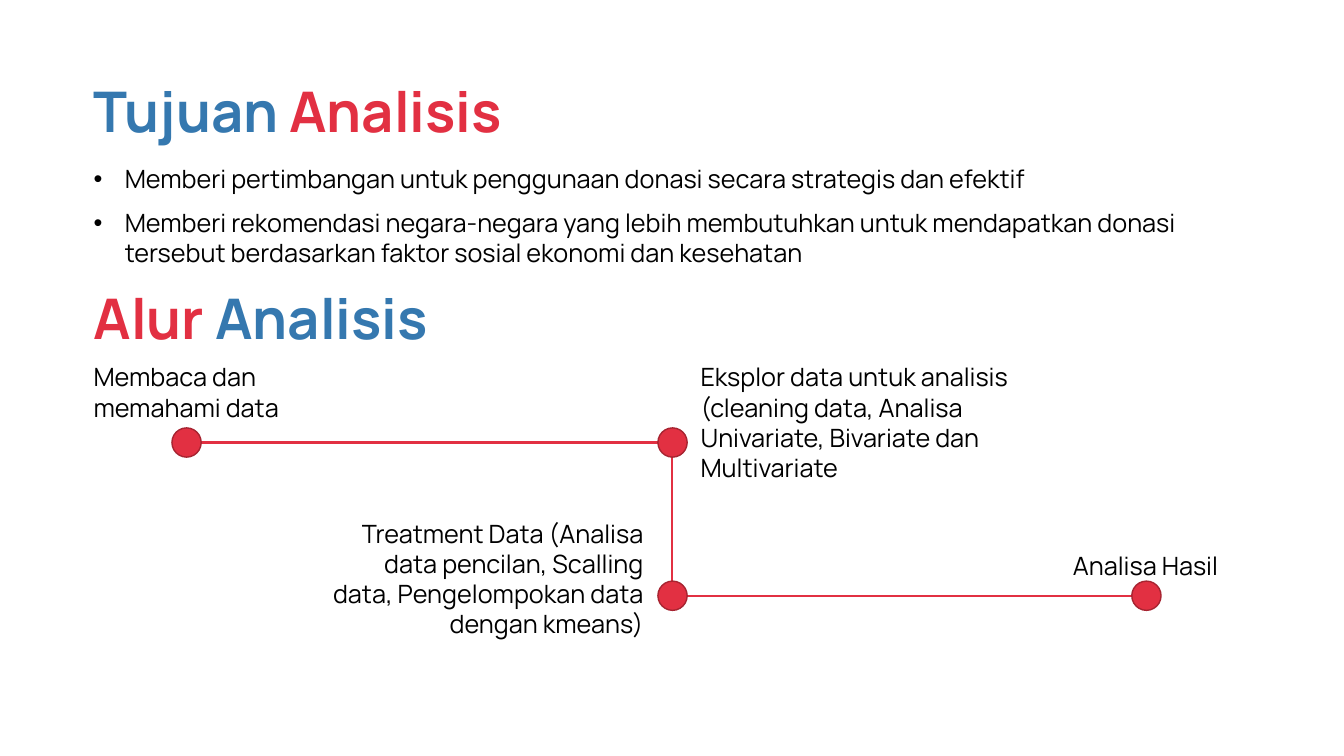
from lxml.etree import SubElement
from pptx import Presentation
from pptx.dml.color import RGBColor
from pptx.enum.shapes import MSO_CONNECTOR, MSO_SHAPE
from pptx.enum.text import MSO_ANCHOR, MSO_AUTO_SIZE, PP_ALIGN
from pptx.oxml.ns import qn
from pptx.util import Inches, Pt

BLUE = RGBColor(0x35, 0x78, 0xAF)
RED = RGBColor(0xE2, 0x30, 0x42)
DARK_RED = RGBColor(0xA7, 0x24, 0x31)
BLACK = RGBColor(0, 0, 0)

LEFT = 0.83
DOT = 0.29
ROW_1, ROW_2 = 4.39, 5.91

GOALS = [
    "Memberi pertimbangan untuk penggunaan donasi secara strategis dan efektif",
    "Memberi rekomendasi negara-negara yang lebih membutuhkan untuk mendapatkan "
    "donasi tersebut berdasarkan faktor sosial ekonomi dan kesehatan",
]
STEPS = [
    ("Membaca dan memahami data", (LEFT, 3.54, 2.64, 0.7), PP_ALIGN.LEFT),
    ("Eksplor data untuk analisis (cleaning data, Analisa Univariate, "
     "Bivariate dan Multivariate", (6.85, 3.54, 3.39, 1.26), PP_ALIGN.LEFT),
    ("Treatment Data (Analisa data pencilan, Scalling data, Pengelompokan "
     "data dengan kmeans)", (3.09, 5.09, 3.39, 1.26), PP_ALIGN.RIGHT),
    ("Analisa Hasil", (10.06, 5.41, 2.12, 0.38), PP_ALIGN.RIGHT),
]
DOT_CENTRES = [(1.85, ROW_1), (6.67, ROW_1), (6.67, ROW_2), (11.37, ROW_2)]


def set_all(target, values):
    for name, value in values.items():
        setattr(target, name, value)


def place(shape, box):
    names = ("left", "top", "width", "height")
    set_all(shape, dict(zip(names, map(Inches, box))))


def prepare_frame(shape, anchor=MSO_ANCHOR.TOP):
    tf = shape.text_frame
    set_all(tf, {"word_wrap": True, "auto_size": MSO_AUTO_SIZE.NONE,
                 "vertical_anchor": anchor})
    return tf


def add_run(p, text, size=18, color=BLACK, bold=False):
    r = p.add_run()
    r.text = text
    set_all(r.font, {"name": "Manrope", "size": Pt(size), "bold": bold})
    r.font.color.rgb = color


def write_heading(shape, box, words):
    place(shape, box)
    p = prepare_frame(shape, MSO_ANCHOR.MIDDLE).paragraphs[0]
    set_all(p, {"alignment": PP_ALIGN.LEFT, "line_spacing": 0.9})
    for text, color in words:
        add_run(p, text, 40, color, True)


def add_text(s, box, texts, align=PP_ALIGN.LEFT, bullets=False):
    tf = prepare_frame(s.shapes.add_textbox(*map(Inches, box)))
    for i, text in enumerate(texts):
        p = tf.add_paragraph() if i else tf.paragraphs[0]
        set_all(p, {"alignment": align, "space_before": Pt(10 if i else 0)})
        add_run(p, text)
        if bullets:
            pPr = p._p.get_or_add_pPr()
            pPr.set("marL", str(Inches(0.31)))
            pPr.set("indent", str(Inches(-0.31)))
            SubElement(pPr, qn("a:buFont"), typeface="Arial")
            SubElement(pPr, qn("a:buChar"), char="•")


def add_flow_line(s, start, end):
    line = s.shapes.add_connector(MSO_CONNECTOR.ELBOW, *map(Inches, start + end))
    line.line.color.rgb = RED
    line.line.width = Pt(1.5)
    SubElement(line.line._get_or_add_ln(), qn("a:tailEnd"), type="arrow")
    SubElement(line._element.spPr, qn("a:effectLst"))


def add_dot(s, x, y):
    box = (x - DOT / 2, y - DOT / 2, DOT, DOT)
    dot = s.shapes.add_shape(MSO_SHAPE.OVAL, *map(Inches, box))
    dot.shadow.inherit = False
    dot.fill.solid()
    dot.fill.fore_color.rgb = RED
    dot.line.color.rgb = DARK_RED
    dot.line.width = Pt(1)


def main():
    prs = Presentation()
    set_all(prs, {"slide_width": Inches(13.33), "slide_height": Inches(7.5)})
    s = prs.slides.add_slide(prs.slide_layouts[5])

    write_heading(s.shapes.title, (LEFT, 0.78, 11.58, 0.71),
                  [("Tujuan ", BLUE), ("Analisis", RED)])
    add_text(s, (LEFT, 1.57, 11.67, 1.27), GOALS, bullets=True)
    flow_box = (LEFT, 2.83, 11.58, 0.71)
    write_heading(s.shapes.add_textbox(*map(Inches, flow_box)), flow_box,
                  [("Alur ", RED), ("Analisis", BLUE)])

    add_flow_line(s, DOT_CENTRES[0], (11.48, ROW_2))
    for text, box, align in STEPS:
        add_text(s, box, [text], align)
    for x, y in DOT_CENTRES:
        add_dot(s, x, y)
    prs.save("out.pptx")


if __name__ == "__main__":
    main()
